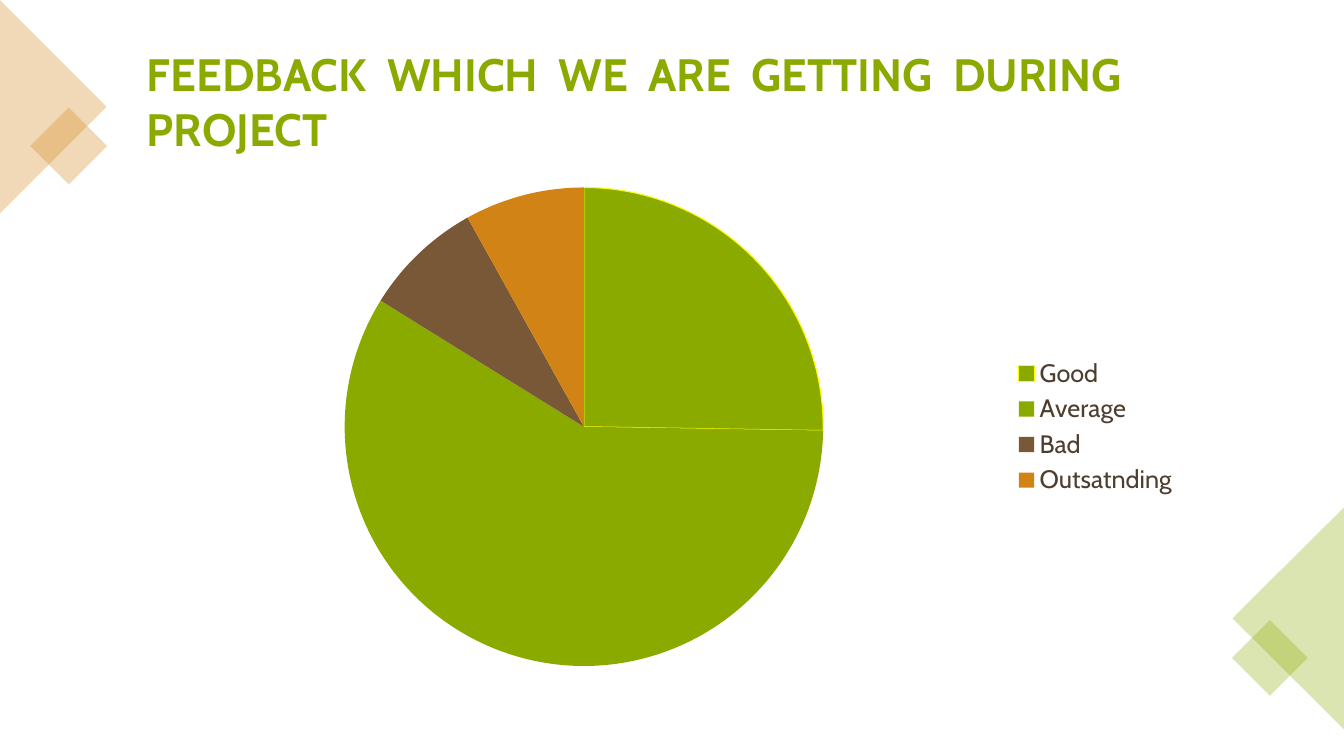
import pptx
import pptx.chart.data
import pptx.dml.color
import pptx.enum.chart
import pptx.enum.shapes
import pptx.enum.text
import pptx.oxml
import pptx.oxml.ns
import pptx.util
from pptx.util import Cm

# Content
FONT = "Cabin"
GREEN, BROWN, ORANGE = "8BAA00", "795837", "D18316"
TITLE = "FEEDBACK  WHICH  WE  ARE  GETTING  DURING  PROJECT"
FEEDBACK = [
    ("Good", 25, GREEN),
    ("Average", 58, GREEN),
    ("Bad", 8, BROWN),
    ("Outsatnding", 8, ORANGE),
]

# Corner ornaments: shape, centre x, centre y, width, height, rotation, colour
TRIANGLE = pptx.enum.shapes.MSO_SHAPE.ISOSCELES_TRIANGLE
SQUARE = pptx.enum.shapes.MSO_SHAPE.RECTANGLE
ORNAMENTS = [
    (SQUARE, 1.73, 3.68, 1.37, 1.37, 45, ORANGE),
    (TRIANGLE, 1.34, 2.69, 5.38, 2.69, 90, ORANGE),
    (TRIANGLE, 32.47, 15.58, 5.61, 2.82, 270, GREEN),
    (SQUARE, 32, 16.58, 1.35, 1.35, 45, GREEN),
]
# Share of the chart frame taken by the pie
PIE_AREA = {"x": 0.18, "y": 0.03, "w": 0.47, "h": 0.94}


def color(hex_string):
    return pptx.dml.color.RGBColor.from_string(hex_string)


def paint(fill, hex_string):
    fill.solid()
    fill.fore_color.rgb = color(hex_string)


def add_text(slide, text, left, top, width, height, size, hex_string, bold=False):
    shape = slide.shapes.add_textbox(Cm(left), Cm(top), Cm(width), Cm(height))
    frame = shape.text_frame
    frame.word_wrap = True
    frame.vertical_anchor = pptx.enum.text.MSO_ANCHOR.BOTTOM
    run = frame.paragraphs[0].add_run()
    run.text = text
    run.font.name = FONT
    run.font.size = pptx.util.Pt(size)
    run.font.bold = bold
    run.font.color.rgb = color(hex_string)


def add_ornament(slide, kind, center_x, center_y, width, height, rotation, hex_string):
    shape = slide.shapes.add_shape(
        kind, Cm(center_x - width / 2), Cm(center_y - height / 2), Cm(width), Cm(height))
    shape.rotation = rotation
    shape.shadow.inherit = False
    shape.line.fill.background()
    paint(shape.fill, hex_string)
    # 30 % opacity
    fill_color = shape.fill._xPr.find(".//" + pptx.oxml.ns.qn("a:srgbClr"))
    alpha = pptx.oxml.parse_xml("<a:alpha %s val='30000'/>" % pptx.oxml.ns.nsdecls("a"))
    fill_color.append(alpha)


def place_pie(chart):
    plot_area = chart._chartSpace.chart.plotArea
    for layout in plot_area.findall(pptx.oxml.ns.qn("c:layout")):
        plot_area.remove(layout)
    modes = "".join(f'<c:{side}Mode val="edge"/>' for side in "xy")
    sizes = "".join(f'<c:{side} val="{share}"/>' for side, share in PIE_AREA.items())
    plot_area.insert(0, pptx.oxml.parse_xml(
        f'<c:layout {pptx.oxml.ns.nsdecls("c")}><c:manualLayout>'
        f'<c:layoutTarget val="inner"/>{modes}{sizes}</c:manualLayout></c:layout>'))


def add_feedback_chart(slide):
    data = pptx.chart.data.CategoryChartData()
    data.categories = [name for name, _, _ in FEEDBACK]
    data.add_series("Series 1", [value for _, value, _ in FEEDBACK])
    chart = slide.shapes.add_chart(
        pptx.enum.chart.XL_CHART_TYPE.PIE,
        Cm(3.91), Cm(4.34), Cm(26.04), Cm(12.83), data).chart
    chart.has_title = False
    chart.font.name = FONT
    chart.font.size = pptx.util.Pt(18)
    chart.font.color.rgb = color("4D3E2F")
    chart.has_legend = True
    chart.legend.position = pptx.enum.chart.XL_LEGEND_POSITION.RIGHT
    chart.legend.include_in_layout = False
    plot = chart.plots[0]
    plot.vary_by_categories = True
    points = plot.series[0].points
    for index, (_, _, hex_string) in enumerate(FEEDBACK):
        paint(points[index].format.fill, hex_string)
        points[index].format.line.fill.background()
    # Yellow outline on the first slice
    outline = points[0].format.line
    paint(outline.fill, "FFFF00")
    outline.width = pptx.util.Pt(0.75)
    place_pie(chart)


def main():
    presentation = pptx.Presentation()
    presentation.slide_width = Cm(33.87)
    presentation.slide_height = Cm(19.05)
    slide = presentation.slides.add_slide(presentation.slide_layouts[6])
    paint(slide.background.fill, "FFFFFF")
    for ornament in ORNAMENTS:
        add_ornament(slide, *ornament)
    add_text(slide, TITLE, 3.45, 0.76, 29.49, 3.28, size=32.4, hex_string=GREEN, bold=True)
    add_feedback_chart(slide)
    presentation.save("out.pptx")


if __name__ == "__main__":
    main()
